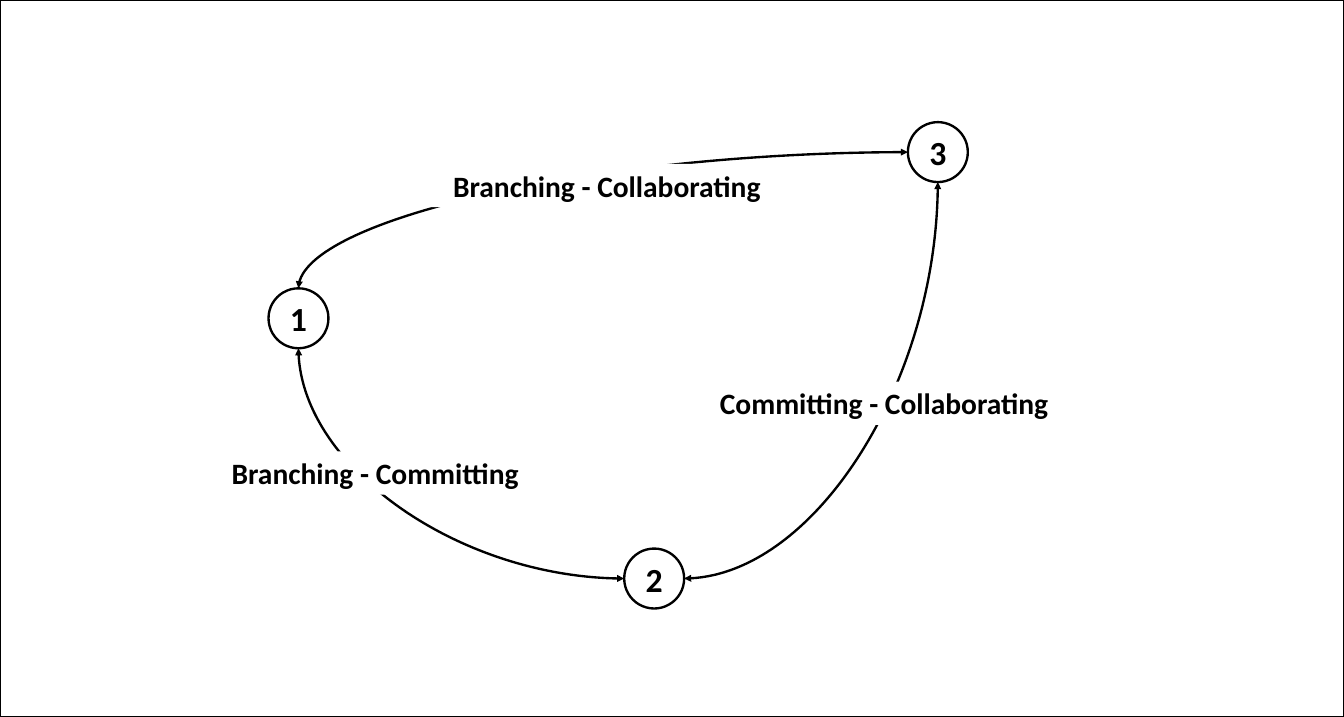
from dataclasses import dataclass

from lxml.etree import SubElement
from pptx import Presentation
from pptx.dml.color import RGBColor
from pptx.enum.shapes import MSO_CONNECTOR, MSO_SHAPE
from pptx.enum.text import MSO_ANCHOR, MSO_AUTO_SIZE, PP_ALIGN
from pptx.oxml.ns import qn
from pptx.util import Emu, Pt

PX = 9144
SITES = {"top": 0, "left": 2, "bottom": 4, "right": 6}


@dataclass(frozen=True)
class Theme:
    ink: RGBColor = RGBColor(0, 0, 0)
    paper: RGBColor = RGBColor(255, 255, 255)
    font: str = "Calibri"
    node_size: Pt = Pt(32)
    label_size: Pt = Pt(28)
    line_width: Pt = Pt(2.25)


THEME = Theme()


def px(n):
    return Emu(n * PX)


def draw_line(line):
    line.color.rgb = THEME.ink
    line.width = THEME.line_width


def add_box(slide, kind, box, filled=True, outlined=True):
    s = slide.shapes.add_shape(kind, *map(px, box))
    s.shadow.inherit = False
    if filled:
        s.fill.solid()
        s.fill.fore_color.rgb = THEME.paper
    else:
        s.fill.background()
    if outlined:
        draw_line(s.line)
    else:
        s.line.fill.background()
    return s


def write(s, text, size):
    tf = s.text_frame
    tf.text = text
    tf.word_wrap = True
    p = tf.paragraphs[0]
    p.alignment = PP_ALIGN.CENTER
    font = p.runs[0].font
    font.name = THEME.font
    font.size = size
    font.bold = True
    font.color.rgb = THEME.ink
    return tf


def add_node(slide, text, box):
    s = add_box(slide, MSO_SHAPE.OVAL, box)
    write(s, text, THEME.node_size).vertical_anchor = MSO_ANCHOR.MIDDLE
    return s


def add_label(slide, text, box):
    s = add_box(slide, MSO_SHAPE.RECTANGLE, box, outlined=False)
    tf = write(s, text, THEME.label_size)
    tf.vertical_anchor = MSO_ANCHOR.TOP
    tf.auto_size = MSO_AUTO_SIZE.SHAPE_TO_FIT_TEXT


def site_point(s, side):
    middle_x, middle_y = s.left + s.width // 2, s.top + s.height // 2
    return {
        "top": (middle_x, s.top),
        "left": (s.left, middle_y),
        "bottom": (middle_x, s.top + s.height),
        "right": (s.left + s.width, middle_y),
    }[side]


def add_curve(slide, start, start_side, end, end_side):
    c = slide.shapes.add_connector(
        MSO_CONNECTOR.CURVE, *site_point(start, start_side), *site_point(end, end_side)
    )
    draw_line(c.line)
    props = c._element.spPr
    props.find(qn("a:prstGeom")).set("prst", "curvedConnector2")
    ln = props.find(qn("a:ln"))
    for tag in ("a:headEnd", "a:tailEnd"):
        SubElement(ln, qn(tag), type="triangle")
    SubElement(props, qn("a:effectLst"))
    glue = c._element.find(".//" + qn("p:cNvCxnSpPr"))
    for tag, s, side in (("a:stCxn", start, start_side), ("a:endCxn", end, end_side)):
        SubElement(glue, qn(tag), id=str(s.shape_id), idx=str(SITES[side]))


def add_cycle(slide, box):
    x, y, width, height = box
    add_box(slide, MSO_SHAPE.RECTANGLE, box, filled=False)
    diameter = 79
    places = {"1": (354, 380), "2": (823, 723), "3": (1197, 161)}
    nodes = {
        name: add_node(slide, name, (x + dx, y + dy, diameter, diameter))
        for name, (dx, dy) in places.items()
    }
    for start, start_side, end, end_side in (
        ("2", "left", "1", "bottom"),
        ("2", "right", "3", "bottom"),
        ("3", "left", "1", "top"),
    ):
        add_curve(slide, nodes[start], start_side, nodes[end], end_side)
    for text, dx, dy, label_width in (
        ("Committing - Collaborating", 924, 503, 483),
        ("Branching - Collaborating", 526, 216, 548),
        ("Branching - Committing", 260, 595, 469),
    ):
        add_label(slide, text, (x + dx, y + dy, label_width, 57))


def main():
    prs = Presentation()
    prs.slide_width, prs.slide_height = px(1772), px(945)
    slide = prs.slides.add_slide(prs.slide_layouts[6])
    add_cycle(slide, (0, 0, 1772, 945))
    prs.save("out.pptx")


if __name__ == "__main__":
    main()
